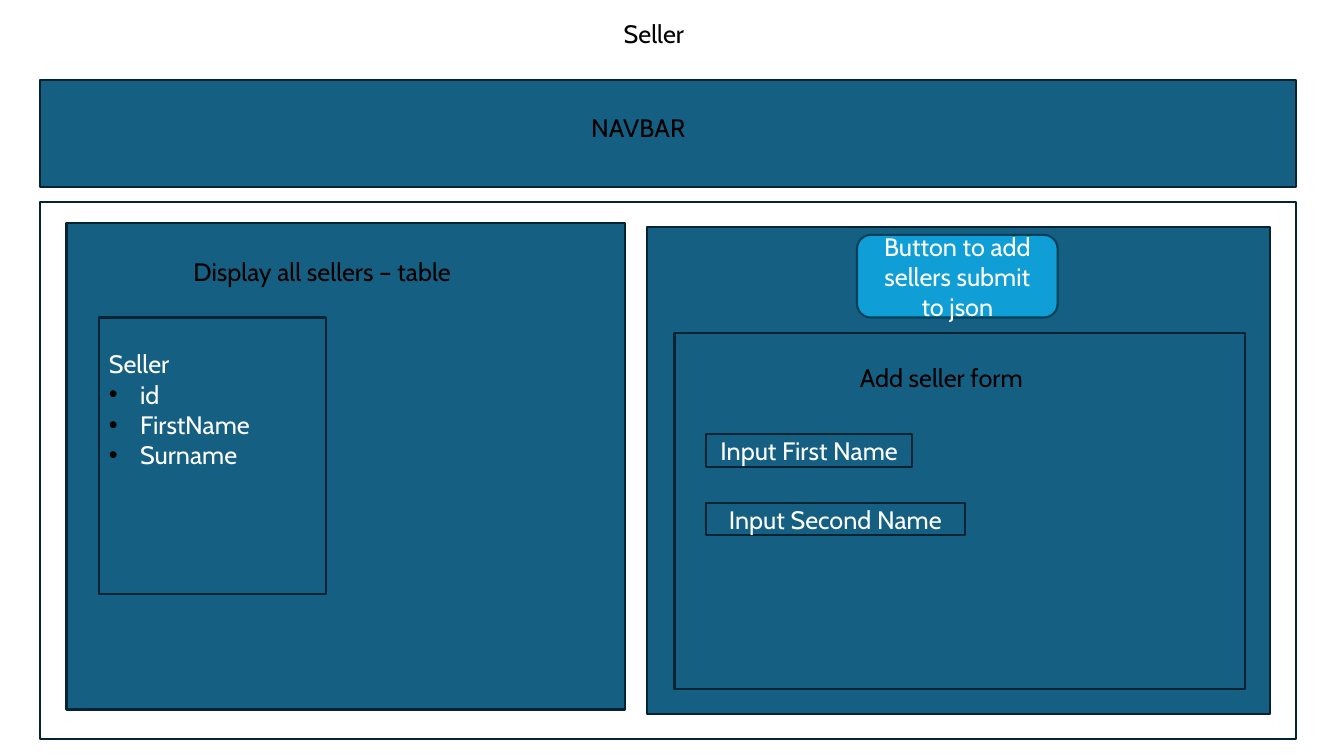
from dataclasses import dataclass

from lxml import etree
from pptx import Presentation
from pptx.dml.color import RGBColor
from pptx.enum.shapes import MSO_SHAPE
from pptx.enum.text import MSO_ANCHOR, MSO_AUTO_SIZE, PP_ALIGN
from pptx.oxml.ns import qn
from pptx.util import Inches, Pt

RECTANGLE = MSO_SHAPE.RECTANGLE
ROUNDED = MSO_SHAPE.ROUNDED_RECTANGLE
LEFT, CENTER = PP_ALIGN.LEFT, PP_ALIGN.CENTER
TOP, MIDDLE = MSO_ANCHOR.TOP, MSO_ANCHOR.MIDDLE
NO_AUTOFIT = MSO_AUTO_SIZE.NONE

FONT = "Cabin"
COLORS = {
    "panel": "156082",
    "outline": "042433",
    "button": "0F9ED5",
    "button outline": "024059",
    "dark text": "000000",
    "light text": "FFFFFF",
}


@dataclass
class Box:
    left: float
    top: float
    width: float
    height: float
    text: str = ""
    fill: str | None = "panel"
    outline: str = "outline"
    kind: MSO_SHAPE = RECTANGLE


@dataclass
class Label:
    left: float
    top: float
    width: float
    text: str
    align: PP_ALIGN = LEFT


LABEL_HEIGHT = 0.4
PANELS = [
    Box(0.4, 0.79, 12.45, 1.07),  # navigation bar
    Box(0.66, 2.21, 5.54, 4.83),  # sellers table
    Box(6.42, 2.25, 6.18, 4.83),  # add seller side
    Box(6.69, 3.3, 5.66, 3.54),  # form
    Box(0.4, 2, 12.45, 5.33, fill=None),  # page frame
]
CONTROLS = [
    Box(8.5, 2.33, 1.99, 0.82, "Button to add sellers submit to json",
        "button", "button outline", ROUNDED),
    Box(7, 4.31, 2.05, 0.32, "Input First Name"),
    Box(7, 4.99, 2.57, 0.32, "Input Second Name"),
]
LABELS = [
    Label(2.4, 1.07, 7.86, "NAVBAR", CENTER),
    Label(1.82, 2.49, 3.15, "Display all sellers – table"),
    Label(8.43, 3.55, 2.06, "Add seller form"),
]
TITLE = Label(4.97, 0.13, 3.03, "Seller", CENTER)
SELLER_CARD = Box(0.98, 3.15, 2.25, 2.74)
SELLER_FIELDS = ["id", "FirstName", "Surname"]


def rgb(name: str) -> RGBColor:
    return RGBColor.from_string(COLORS[name])


def style_text(para, color: str, align: PP_ALIGN) -> None:
    para.alignment = align
    para.line_spacing = 1.0
    para.space_before = Pt(0)
    para.font.name = FONT
    para.font.size = Pt(18)
    para.font.color.rgb = rgb(color)


def style_box(shape, box: Box) -> None:
    if box.fill:
        shape.fill.solid()
        shape.fill.fore_color.rgb = rgb(box.fill)
    else:
        shape.fill.background()
    shape.line.color.rgb = rgb(box.outline)
    shape.line.width = Pt(1.5)


def place(shape, item: Box | Label, height: float) -> None:
    shape.left, shape.top = Inches(item.left), Inches(item.top)
    shape.width, shape.height = Inches(item.width), Inches(height)


def add_box(page, box: Box) -> None:
    shape = page.shapes.add_shape(
        box.kind, Inches(box.left), Inches(box.top), Inches(box.width), Inches(box.height))
    shape.shadow.inherit = False
    style_box(shape, box)
    if box.text:
        frame = shape.text_frame
        frame.word_wrap = True
        frame.vertical_anchor = MIDDLE
        frame.text = box.text
        style_text(frame.paragraphs[0], "light text", CENTER)


def fill_label(shape, label: Label) -> None:
    frame = shape.text_frame
    frame.word_wrap = True
    frame.auto_size = NO_AUTOFIT
    frame.text = label.text
    style_text(frame.paragraphs[0], "dark text", label.align)


def add_label(page, label: Label) -> None:
    shape = page.shapes.add_textbox(
        Inches(label.left), Inches(label.top), Inches(label.width), Inches(LABEL_HEIGHT))
    fill_label(shape, label)


def set_bullet(para, bulleted: bool) -> None:
    properties = para._p.get_or_add_pPr()
    indent = Inches(0.31) if bulleted else 0
    properties.set("marL", str(indent))
    properties.set("indent", str(-indent))
    if bulleted:
        color = etree.SubElement(properties, qn("a:buClr"))
        etree.SubElement(color, qn("a:srgbClr"), val=COLORS["dark text"])
        etree.SubElement(properties, qn("a:buFont"), typeface="Arial")
        etree.SubElement(properties, qn("a:buChar"), char="•")
    else:
        etree.SubElement(properties, qn("a:buNone"))


def fill_seller_card(card) -> None:
    place(card, SELLER_CARD, SELLER_CARD.height)
    style_box(card, SELLER_CARD)
    frame = card.text_frame
    frame.auto_size = NO_AUTOFIT
    frame.vertical_anchor = TOP
    frame.margin_top = Inches(0.31)
    frame.text = "\n".join(["Seller", *SELLER_FIELDS])
    for position, para in enumerate(frame.paragraphs):
        set_bullet(para, bulleted=position > 0)
        style_text(para, "light text", LEFT)


def main() -> None:
    deck = Presentation()
    deck.slide_width, deck.slide_height = Inches(13.33), Inches(7.5)
    page = deck.slides.add_slide(deck.slide_layouts[1])
    title, card = page.placeholders

    # Title
    place(title, TITLE, LABEL_HEIGHT)
    fill_label(title, TITLE)

    # Panels, their labels and the form controls
    for box in PANELS + CONTROLS:
        add_box(page, box)
    for label in LABELS:
        add_label(page, label)

    # Seller list, brought in front of its panel
    fill_seller_card(card)
    page.shapes._spTree.append(card._element)

    deck.save("out.pptx")


if __name__ == "__main__":
    main()
